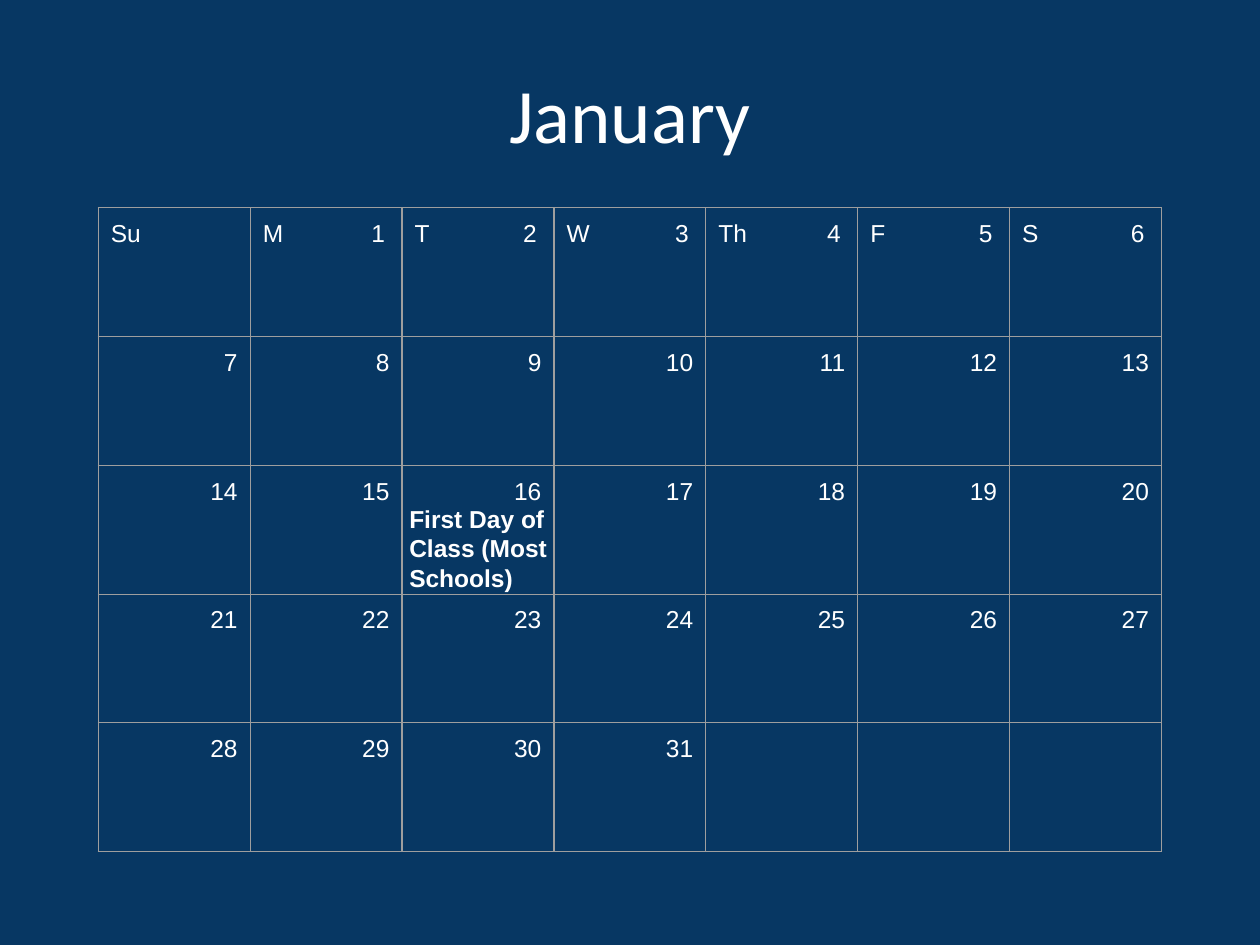
from pptx import Presentation
from pptx.dml.color import RGBColor
from pptx.enum.text import MSO_ANCHOR, PP_ALIGN
from pptx.oxml import parse_xml
from pptx.oxml.ns import nsdecls
from pptx.util import Inches, Pt

NAVY = RGBColor(0x07, 0x37, 0x63)
WHITE = RGBColor(0xFF, 0xFF, 0xFF)
GREY = RGBColor(0x9E, 0x9E, 0x9E)

DAYS = ["Su", "M", "T", "W", "Th", "F", "S"]
WEEKS = 5
LAST_DAY = 31
INSET = Inches(0.1)
COL_W = Inches(8.44 / len(DAYS))
ROW_H = Inches(5.11 / WEEKS)


def style(p, size, font="Arial", bold=False):
    p.font.size = Pt(size)
    p.font.name = font
    p.font.bold = bold
    p.font.color.rgb = WHITE


def add_text(text, left, top, width, height):
    box = s.shapes.add_textbox(Inches(left), Inches(top), Inches(width), Inches(height))
    tf = box.text_frame
    tf.word_wrap = True
    tf.margin_left = tf.margin_right = tf.margin_top = tf.margin_bottom = INSET
    tf.text = text
    return tf


prs = Presentation()
prs.slide_width = Inches(10)
prs.slide_height = Inches(7.5)
s = prs.slides.add_slide(prs.slide_layouts[6])
s.background.fill.solid()
s.background.fill.fore_color.rgb = NAVY

tf = add_text("January", 0.5, 0.27, 9, 1.25)
tf.vertical_anchor = MSO_ANCHOR.MIDDLE
tf.paragraphs[0].alignment = PP_ALIGN.CENTER
style(tf.paragraphs[0], 44, "Calibri")

table = s.shapes.add_table(WEEKS, len(DAYS), Inches(0.78), Inches(1.65),
                           COL_W * len(DAYS), ROW_H * WEEKS).table
table.first_row = table.horz_banding = False
for col in table.columns:
    col.width = COL_W
for row in table.rows:
    row.height = ROW_H

for i, cell in enumerate(table.iter_cells()):
    week, weekday = divmod(i, len(DAYS))
    number = str(i) if 1 <= i <= LAST_DAY else ""
    p = cell.text_frame.paragraphs[0]
    if week == 0:
        p.text = f"{DAYS[weekday]}\t{number}" if number else DAYS[weekday]
        p._p.get_or_add_pPr().append(parse_xml(
            f'<a:tabLst {nsdecls("a")}><a:tab pos="{Inches(0.97)}" algn="r"/></a:tabLst>'))
    else:
        p.text = number
        p.alignment = PP_ALIGN.RIGHT
    style(p, 14)
    cell.margin_left = cell.margin_right = cell.margin_top = cell.margin_bottom = INSET
    tcPr = cell._tc.get_or_add_tcPr()
    for side in "LRTB":
        tcPr.append(parse_xml(
            f'<a:ln{side} {nsdecls("a")} w="{Pt(0.75)}"><a:solidFill>'
            f'<a:srgbClr val="{GREY}"/></a:solidFill></a:ln{side}>'))
    cell.fill.background()

tf = add_text("First Day of Class (Most Schools)", 3.15, 3.9, 1.3, 0.61)
style(tf.paragraphs[0], 14, bold=True)

prs.save("out.pptx")
